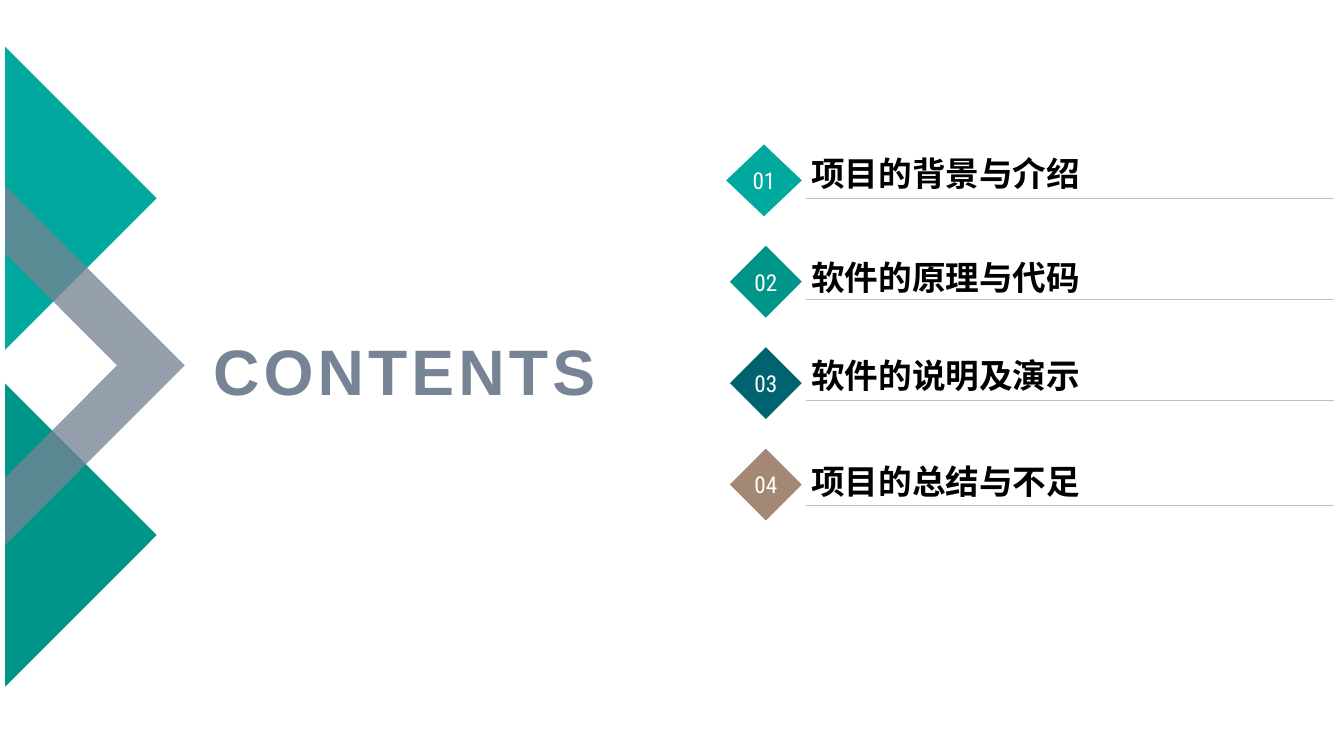
from dataclasses import dataclass

from lxml.etree import SubElement
from pptx import Presentation
from pptx.dml.color import RGBColor
from pptx.enum.shapes import MSO_CONNECTOR as Connector, MSO_SHAPE as Shape
from pptx.enum.text import MSO_ANCHOR as Anchor, PP_ALIGN as Align
from pptx.oxml.ns import qn
from pptx.util import Emu, Inches, Pt

COLUMNS, ROWS = 160, 90
CELL = Inches(1) / 12


@dataclass(frozen=True)
class Theme:
    teal: str = "00A99D"
    green: str = "009589"
    petrol: str = "006470"
    brown: str = "A48775"
    slate: str = "778495"
    rule: str = "BFBFBF"
    black: str = "000000"
    white: str = "FFFFFF"
    text_font: str = "Arial"
    number_font: str = "Roboto Condensed"
    title_size: float = 45.9
    label_size: float = 24
    number_size: float = 16.6
    rule_width: float = 0.25


def grid(*cells):
    """Turn grid cells into slide lengths."""
    return [Emu(round(cell * CELL)) for cell in cells]


def write(shape, text, *, font, size, color, bold=False, spacing=0,
          align=Align.LEFT, anchor=Anchor.MIDDLE, wrap=True):
    frame = shape.text_frame
    frame.word_wrap = wrap
    frame.vertical_anchor = anchor
    paragraph = frame.paragraphs[0]
    paragraph.alignment = align
    run = paragraph.add_run()
    run.text = text
    run.font.name = font
    run.font.size = Pt(size)
    run.font.bold = bold
    run.font.color.rgb = RGBColor.from_string(color)
    if spacing:
        run.font._element.set("spc", str(spacing * 100))


class ContentsSlide:
    def __init__(self, deck, theme):
        self.theme = theme
        self.slide = deck.slides.add_slide(deck.slide_layouts[6])
        self.shapes = self.slide.shapes

    def paint(self, shape, color, opacity=100):
        shape.shadow.inherit = False
        shape.line.fill.background()
        shape.fill.solid()
        shape.fill.fore_color.rgb = RGBColor.from_string(color)
        if opacity < 100:
            tint = shape._element.spPr.find(qn("a:solidFill"))[0]
            SubElement(tint, qn("a:alpha"), val=str(opacity * 1000))

    def outline(self, points, color, opacity=100):
        start, *rest = [grid(*point) for point in points]
        builder = self.shapes.build_freeform(*start)
        builder.add_line_segments(rest, close=True)
        self.paint(builder.convert_to_shape(), color, opacity)

    def diamond(self, box, number, color):
        marker = self.shapes.add_shape(Shape.DIAMOND, *grid(*box))
        self.paint(marker, color)
        write(marker, number, font=self.theme.number_font, size=self.theme.number_size,
              color=self.theme.white, align=Align.CENTER, wrap=False)

    def text(self, box, text, right_inset=1.2, **style):
        holder = self.shapes.add_textbox(*grid(*box))
        holder.text_frame.margin_right, = grid(right_inset)
        write(holder, text, font=self.theme.text_font, bold=True, **style)

    def rule(self, left, right, row):
        line = self.shapes.add_connector(Connector.STRAIGHT, *grid(left, row, right, row))
        line.line.color.rgb = RGBColor.from_string(self.theme.rule)
        line.line.width = Pt(self.theme.rule_width)
        SubElement(line._element.spPr, qn("a:effectLst"))


def main():
    theme = Theme()
    deck = Presentation()
    deck.slide_width, deck.slide_height = grid(COLUMNS, ROWS)
    page = ContentsSlide(deck, theme)

    # Arrowheads on the left edge
    edge, reach = 0.6, 18.06
    for middle, color in ((63.7, theme.green), (23.6, theme.teal)):
        page.outline([(edge, middle - reach), (edge + reach, middle),
                      (edge, middle + reach)], color)

    # Translucent chevron over both
    middle, outer, inner = 43.5, 21.4, 13.35
    page.outline([(edge + outer, middle), (edge, middle + outer),
                  (edge, middle + inner), (edge + inner, middle),
                  (edge, middle - inner), (edge, middle - outer)], theme.slate, 77)

    # Title
    page.text((21.7, 37.7, 51.4, 12.7), "CONTENTS", right_inset=2.2, size=theme.title_size,
              color=theme.slate, spacing=3, align=Align.RIGHT)

    # Chapters: text, colour, marker width, label bottom, rule row
    chapters = [
        ("项目的背景与介绍", theme.teal, 9, 23.64, 23.64),
        ("软件的原理与代码", theme.green, 8.55, 36, 35.64),
        ("软件的说明及演示", theme.petrol, 8.55, 47.64, 47.64),
        ("项目的总结与不足", theme.brown, 8.55, 60.24, 60.12),
    ]
    marker_right, marker_top, marker_height, pitch = 95.45, 17.2, 8.55, 12.07
    label_height = 4.2
    for index, (label, color, width, bottom, rule_row) in enumerate(chapters):
        page.diamond((marker_right - width, marker_top + index * pitch, width, marker_height),
                     f"{index + 1:02}", color)
        page.text((95.4, bottom - label_height, 54.5, label_height), label,
                  size=theme.label_size, color=theme.black, anchor=Anchor.BOTTOM)
        page.rule(96, 158.8, rule_row)

    deck.save("out.pptx")


if __name__ == "__main__":
    main()
